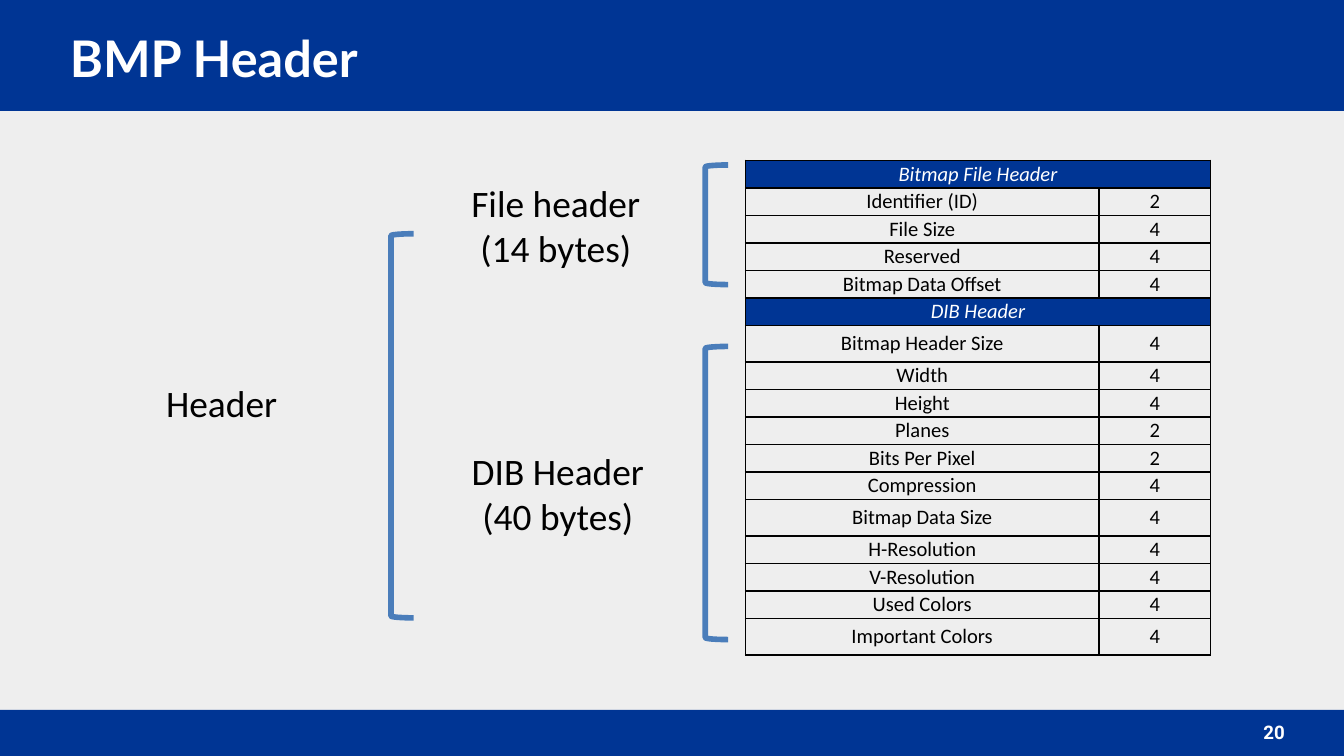
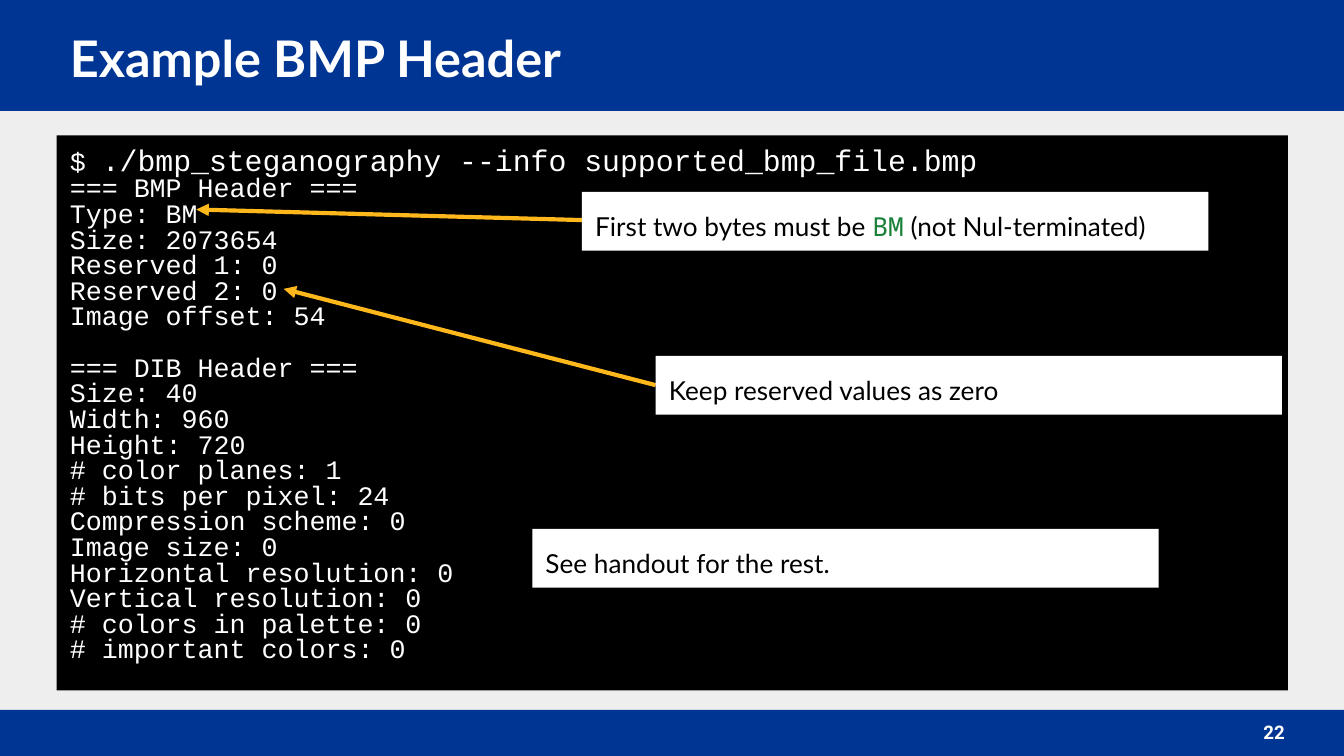
from lxml import etree
from pptx import Presentation
from pptx.dml.color import RGBColor
from pptx.enum.shapes import MSO_CONNECTOR, MSO_SHAPE
from pptx.enum.text import MSO_ANCHOR, MSO_AUTO_SIZE, PP_ALIGN
from pptx.oxml.ns import qn
from pptx.util import Cm, Pt

RECTANGLE = MSO_SHAPE.RECTANGLE
BRACKET = MSO_SHAPE.LEFT_BRACKET
STRAIGHT = MSO_CONNECTOR.STRAIGHT
LEFT, CENTER, RIGHT = PP_ALIGN.LEFT, PP_ALIGN.CENTER, PP_ALIGN.RIGHT
TOP, MIDDLE = MSO_ANCHOR.TOP, MSO_ANCHOR.MIDDLE
NO_AUTOSIZE = MSO_AUTO_SIZE.NONE

BLUE = "003594"
GOLD = "FFB81C"
GREEN = "188038"
BRACKET_BLUE = "4A7DBA"
BACKGROUND = "EEEEEE"
BLACK = "000000"
WHITE = "FFFFFF"


def paint(shape, fill=None, line=None, width=1):
    """Give a shape a plain fill and line, without shadow."""
    shape.shadow.inherit = False
    if fill:
        shape.fill.solid()
        shape.fill.fore_color.rgb = RGBColor.from_string(fill)
    else:
        shape.fill.background()
    if line:
        shape.line.color.rgb = RGBColor.from_string(line)
        shape.line.width = Pt(width)
    else:
        shape.line.fill.background()


def write(frame, lines, size=14, font="Lato", color=BLACK, bold=False, italic=False,
          align=LEFT, anchor=TOP, margin=0.25, spacing=1.0, after=0):
    """Fill a text frame; a line is a string or a list of (text, changes) runs."""
    frame.word_wrap = True
    frame.auto_size = NO_AUTOSIZE
    frame.vertical_anchor = anchor
    frame.margin_left = frame.margin_right = Cm(margin)
    frame.margin_top = frame.margin_bottom = Cm(margin)
    for index, line in enumerate(lines):
        paragraph = frame.add_paragraph() if index else frame.paragraphs[0]
        paragraph.alignment = align
        paragraph.line_spacing = spacing
        paragraph.space_before = Pt(0)
        paragraph.space_after = Pt(after)
        for text, changes in [(line, {})] if isinstance(line, str) else line:
            run = paragraph.add_run()
            run.text = text
            run.font.size = Pt(changes.get("size", size))
            run.font.name = changes.get("font", font)
            run.font.color.rgb = RGBColor.from_string(changes.get("color", color))
            run.font.bold = bold
            run.font.italic = italic


presentation = Presentation()
presentation.slide_width = Cm(25.4)
presentation.slide_height = Cm(14.29)
master_fill = presentation.slide_master.background.fill
master_fill.solid()
master_fill.fore_color.rgb = RGBColor.from_string(BACKGROUND)

# Shared parts: bands, title, slide number
slides = []
for layout, title, number in [(5, "BMP Header", "20"), (1, "Example BMP Header", "22")]:
    slide = presentation.slides.add_slide(presentation.slide_layouts[layout])
    slides.append(slide)
    for top, height in [(0, 2.1), (13.42, 0.87)]:
        band = slide.shapes.add_shape(RECTANGLE, 0, Cm(top), Cm(25.4), Cm(height))
        paint(band, BLUE)
        slide.shapes._spTree.insert(2, band._element)
    heading = slide.shapes.title
    heading.left, heading.top, heading.width, heading.height = Cm(1.07), Cm(0.44), Cm(23.47), Cm(1.27)
    write(heading.text_frame, [title], size=27, color=WHITE, bold=True, anchor=MIDDLE)
    number_box = slide.shapes.add_textbox(Cm(23.01), Cm(13.4), Cm(1.52), Cm(0.87))
    write(number_box.text_frame, [number], size=10, font="Roboto", color=WHITE, bold=True,
          align=RIGHT, anchor=MIDDLE)

header_slide, example_slide = slides

# Header fields table
header_rows = [
    ("Bitmap File Header", None),
    ("Identifier (ID)", 2),
    ("File Size", 4),
    ("Reserved", 4),
    ("Bitmap Data Offset", 4),
    ("DIB Header", None),
    ("Bitmap Header Size", 4),
    ("Width", 4),
    ("Height", 4),
    ("Planes", 2),
    ("Bits Per Pixel", 2),
    ("Compression", 4),
    ("Bitmap Data Size", 4),
    ("H-Resolution", 4),
    ("V-Resolution", 4),
    ("Used Colors", 4),
    ("Important Colors", 4),
]
tall_rows = ("Bitmap Header Size", "Bitmap Data Size", "Important Colors")
table = header_slide.shapes.add_table(
    len(header_rows), 2, Cm(14.09), Cm(3.03), Cm(8.79), Cm(9.35)).table
table.first_row = table.horz_banding = False
table.columns[0].width, table.columns[1].width = Cm(6.68), Cm(2.11)

for row, (name, byte_count) in enumerate(header_rows):
    table.rows[row].height = Cm(0.69 if name in tall_rows else 0.52)
    is_section = byte_count is None
    if is_section:
        table.cell(row, 0).merge(table.cell(row, 1))
    for column, text in enumerate([name, "" if is_section else str(byte_count)]):
        cell = table.cell(row, column)
        if text:
            write(cell.text_frame, [text], size=11, font="Calibri", align=CENTER,
                  color=WHITE if is_section else BLACK, italic=is_section)
        cell.vertical_anchor = MIDDLE
        cell.margin_left = cell.margin_right = Cm(0.2)
        cell.margin_top = cell.margin_bottom = 0
        properties = cell._tc.get_or_add_tcPr()
        for side in ("a:lnL", "a:lnR", "a:lnT", "a:lnB"):
            border = etree.SubElement(properties, qn(side), w=str(Pt(1)))
            border_fill = etree.SubElement(border, qn("a:solidFill"))
            etree.SubElement(border_fill, qn("a:srgbClr"), val=BLACK)
        if is_section:
            cell.fill.solid()
            cell.fill.fore_color.rgb = RGBColor.from_string(BLUE)
        else:
            cell.fill.background()

# Labels and brackets of the header tree
for lines, left, top, width, height in [
    (["File header", "(14 bytes)"], 8.08, 3.25, 4.85, 2.01),
    (["DIB Header", "(40 bytes)"], 7.98, 8.31, 5.13, 2.01),
    (["Header"], 1.22, 7.04, 5.94, 1.14),
]:
    label = header_slide.shapes.add_textbox(Cm(left), Cm(top), Cm(width), Cm(height))
    write(label.text_frame, lines, size=20, font="Calibri", align=CENTER, anchor=MIDDLE, margin=0.15)

for left, top, height in [(13.33, 3.12, 2.26), (13.33, 6.55, 5.54), (7.39, 4.42, 7.26)]:
    bracket = header_slide.shapes.add_shape(BRACKET, Cm(left), Cm(top), Cm(0.43), Cm(height))
    paint(bracket, line=BRACKET_BLUE, width=3)

# Terminal listing
terminal_lines = [
    [("$ ", {}), ("./bmp_steganography --info supported_bmp_file.bmp", {"size": 16})],
    "=== BMP Header ===",
    "Type: BM",
    "Size: 2073654",
    "Reserved 1: 0",
    "Reserved 2: 0",
    "Image offset: 54",
    "=== DIB Header ===",
    "Size: 40",
    "Width: 960",
    "Height: 720",
    "# color planes: 1",
    "# bits per pixel: 24",
    "Compression scheme: 0",
    "Image size: 0",
    "Horizontal resolution: 0",
    "Vertical resolution: 0",
    "# colors in palette: 0",
    "# important colors: 0",
]
terminal = example_slide.placeholders[1]
terminal.left, terminal.top, terminal.width, terminal.height = Cm(1.07), Cm(2.56), Cm(23.27), Cm(10.49)
terminal.fill.solid()
terminal.fill.fore_color.rgb = RGBColor.from_string(BLACK)
write(terminal.text_frame, terminal_lines, size=14.3, font="Courier New", color=WHITE, spacing=0.8)
for paragraph in terminal.text_frame.paragraphs:
    properties = paragraph._p.get_or_add_pPr()
    properties.set("marL", "0")
    properties.set("indent", "0")
    etree.SubElement(properties, qn("a:buNone"))
    if paragraph.text == "=== DIB Header ===":
        paragraph.space_before = Pt(13.8)

# Callouts, with an arrow to the line they explain
type_note = [("First two bytes must be ", {}),
             ("BM", {"font": "Noto Sans Mono", "color": GREEN}),
             (" (not Nul-terminated)", {})]
for note, left, top, arrow in [
    (type_note, 11.0, 3.63, (4.16, 3.71, 3.96)),
    ("Keep reserved values as zero", 12.39, 6.73, (7.28, 5.36, 5.46)),
    ("See handout for the rest.", 10.06, 10.0, None),
]:
    if arrow:
        start_y, end_x, end_y = arrow
        connector = example_slide.shapes.add_connector(
            STRAIGHT, Cm(left), Cm(start_y), Cm(end_x), Cm(end_y))
        connector.line.color.rgb = RGBColor.from_string(GOLD)
        connector.line.width = Pt(2.25)
        etree.SubElement(connector.line._get_or_add_ln(), qn("a:tailEnd"), type="triangle")
        etree.SubElement(connector._element.spPr, qn("a:effectLst"))
    callout = example_slide.shapes.add_shape(RECTANGLE, Cm(left), Cm(top), Cm(11.84), Cm(1.11))
    paint(callout, WHITE)
    write(callout.text_frame, [note], spacing=1.15, after=12)

presentation.save("out.pptx")
